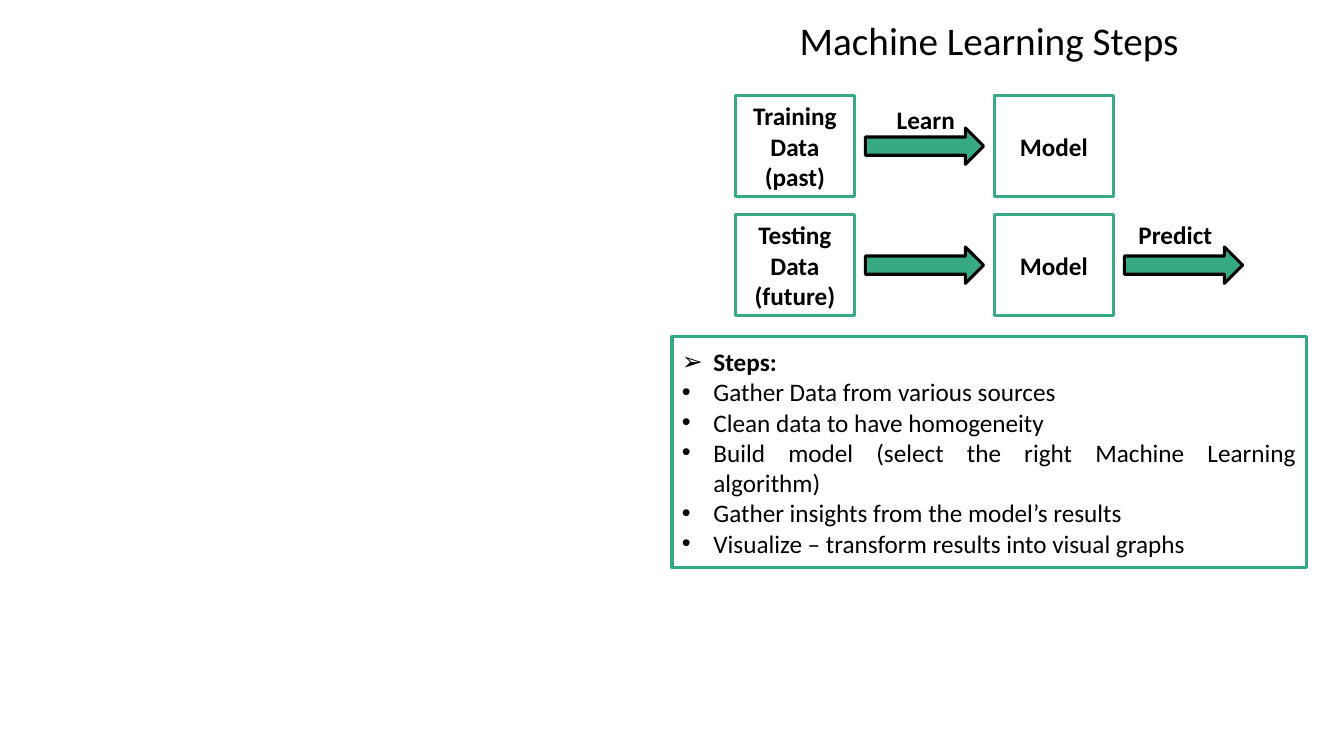
from dataclasses import dataclass
from lxml.etree import SubElement
from pptx import Presentation
from pptx.dml.color import RGBColor
from pptx.enum.shapes import MSO_SHAPE
from pptx.enum.text import MSO_ANCHOR, MSO_AUTO_SIZE, PP_ALIGN
from pptx.oxml.ns import qn
from pptx.util import Pt


@dataclass(frozen=True)
class Theme:
    face: str = "Calibri"
    ink: str = "000000"
    paper: str = "FFFFFF"
    green: str = "37AA84"
    frame: str = "35A984"
    head: float = 28
    body: float = 18
    line: float = 2.25
    indent: float = 22.5


class Deck:
    """Draws styled elements on the current slide."""

    def __init__(self, theme):
        self.theme = theme
        self.prs = Presentation()
        self.prs.slide_width, self.prs.slide_height = Pt(960), Pt(540)
        self.slide = self.prs.slides.add_slide(self.prs.slide_layouts[5])
        self.group = self.slide.shapes.add_group_shape()

    def fill_text(self, shape, lines, size, bold=True, align=PP_ALIGN.CENTER,
                  anchor=MSO_ANCHOR.MIDDLE, fit=MSO_AUTO_SIZE.NONE):
        frame = shape.text_frame
        frame.text = "\n".join(lines)
        look = {"word_wrap": True, "vertical_anchor": anchor, "auto_size": fit,
                "margin_left": Pt(7.2), "margin_right": Pt(7.2),
                "margin_top": Pt(3.6), "margin_bottom": Pt(3.6)}
        for name, value in look.items():
            setattr(frame, name, value)
        for para in frame.paragraphs:
            para.alignment = align
            for run in para.runs:
                font = {"name": self.theme.face, "size": Pt(size), "bold": bold}
                for name, value in font.items():
                    setattr(run.font, name, value)
                run.font.color.rgb = RGBColor.from_string(self.theme.ink)
        return frame.paragraphs

    def title(self, text, box):
        shape = self.slide.shapes.title
        for name, value in zip(("left", "top", "width", "height"), box):
            setattr(shape, name, Pt(value))
        para = self.fill_text(shape, [text], self.theme.head, False,
                              anchor=MSO_ANCHOR.TOP)[0]
        para.line_spacing = 0.9

    def shape(self, host, kind, box, fill, line):
        item = host.shapes.add_shape(kind, *map(Pt, box))
        item.shadow.inherit = False
        if fill:
            item.fill.solid()
            item.fill.fore_color.rgb = RGBColor.from_string(fill)
        else:
            item.fill.background()
        item.line.color.rgb = RGBColor.from_string(line)
        item.line.width = Pt(self.theme.line)
        return item

    def block(self, lines, box):
        item = self.shape(self.group, MSO_SHAPE.FLOWCHART_PROCESS, box,
                          self.theme.paper, self.theme.green)
        self.fill_text(item, lines, self.theme.body)

    def arrow(self, box):
        self.shape(self.group, MSO_SHAPE.RIGHT_ARROW, box,
                   self.theme.green, self.theme.ink)

    def label(self, text, box):
        item = self.group.shapes.add_textbox(*map(Pt, box))
        self.fill_text(item, [text], self.theme.body, anchor=MSO_ANCHOR.TOP,
                       fit=MSO_AUTO_SIZE.SHAPE_TO_FIT_TEXT)

    def panel(self, head, items, box):
        item = self.shape(self.slide, MSO_SHAPE.RECTANGLE, box, None,
                          self.theme.frame)
        paras = self.fill_text(item, [head, *items], self.theme.body, False,
                               PP_ALIGN.JUSTIFY)
        paras[0].runs[0].font.bold = True
        for rank, para in enumerate(paras):
            para.level = min(rank, 1)
            props = para._p.get_or_add_pPr()
            props.set("marL", str(Pt(self.theme.indent)))
            props.set("indent", str(-Pt(self.theme.indent)))
            SubElement(props, qn("a:buFont"), typeface="Arial")
            SubElement(props, qn("a:buChar"), char="•" if rank else "➢")


def main():
    deck = Deck(Theme())
    deck.title("Machine Learning Steps", (480, 11.5, 453, 44))
    left, top, step, drop = 525.3, 68.4, 185, 85
    flows = [("Training Data", "(past)"), ("Testing Data", "(future)")]
    for row, data in enumerate(flows):
        y = top + row * drop
        for col, lines in enumerate((data, ("Model",))):
            x = left + col * step
            deck.block(lines, (x, y, 85, 72))
            if col <= row:
                deck.arrow((x + 92.8, y + 23, 84.5, 26))
    deck.label("Learn", (619.2, 70.6, 84.2, 29))
    deck.label("Predict", (802.8, 153.4, 73.4, 29))
    deck.panel("Steps:", [
        "Gather Data from various sources",
        "Clean data to have homogeneity",
        "Build model (select the right Machine Learning algorithm)",
        "Gather insights from the model’s results",
        "Visualize – transform results into visual graphs",
    ], (480, 240.5, 453, 165))
    deck.prs.save("out.pptx")


if __name__ == "__main__":
    main()
